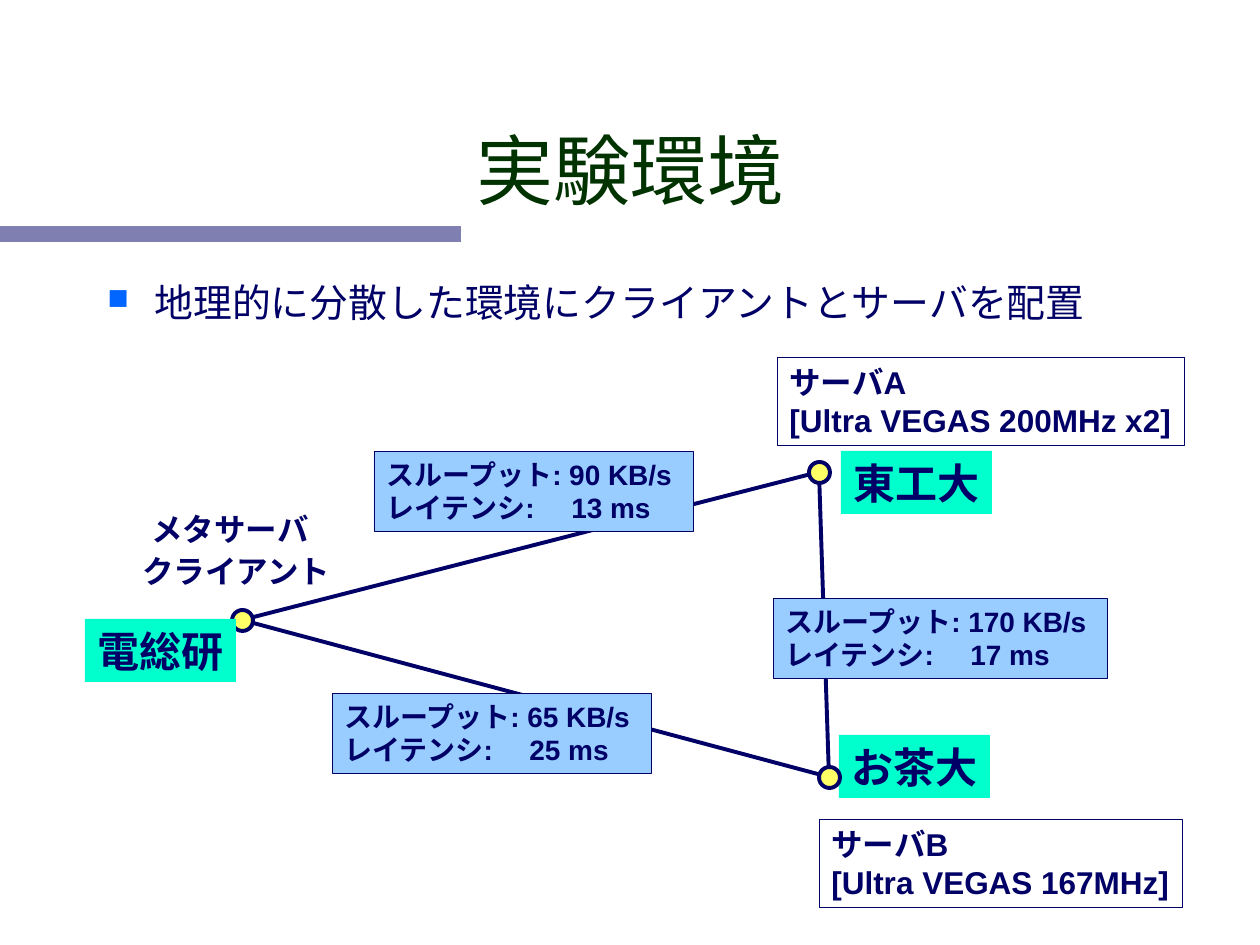
from itertools import combinations

from lxml import etree
from pptx import Presentation
from pptx.dml.color import RGBColor
from pptx.enum.shapes import MSO_CONNECTOR, MSO_SHAPE
from pptx.enum.text import MSO_ANCHOR, PP_ALIGN
from pptx.oxml.ns import qn
from pptx.util import Pt

RECT, OVAL = MSO_SHAPE.RECTANGLE, MSO_SHAPE.OVAL
STRAIGHT = MSO_CONNECTOR.STRAIGHT
LEFT, CENTER = PP_ALIGN.LEFT, PP_ALIGN.CENTER
TOP, BOTTOM = MSO_ANCHOR.TOP, MSO_ANCHOR.BOTTOM

EMU_PER_PX = 914400 / 126
FONT = "Arial"
COLORS = {
    "navy": "000066",
    "title": "003300",
    "bullet": "0066FF",
    "node": "FFFF66",
    "site": "00FFCC",
    "link": "99CCFF",
}
NODE_SIZE = 21
VALUE_TAB = 185

HUB, NODE_A, NODE_B = (242, 620), (819, 472), (829, 777)
SITES = [("電総研", 85, 619), ("東工大", 841, 451), ("お茶大", 839, 735)]
ROLES = [("メタサーバ", 139, 504, 183), ("クライアント", 130, 546, 214)]
SERVERS = [
    ("サーバA", "[Ultra VEGAS 200MHz x2]", 777, 357, 407),
    ("サーバB", "[Ultra VEGAS 167MHz]", 819, 819, 363),
]
LINKS = [
    (90, 13, 374, 451, 319),
    (65, 25, 332, 693, 319),
    (170, 17, 773, 598, 334),
]


def px(n):
    return round(n * EMU_PER_PX)


def rgb(name):
    return RGBColor.from_string(COLORS[name])


def add_text(s, text, size=18, color="navy", bold=True, align=LEFT,
             anchor=TOP, wrap=False):
    tf = s.text_frame
    tf.word_wrap = wrap
    tf.vertical_anchor = anchor
    tf.text = text
    for p in tf.paragraphs:
        p.alignment = align
        for r in p.runs:
            r.font.name = FONT
            r.font.size = Pt(size)
            r.font.bold = bold
            r.font.color.rgb = rgb(color)
    return tf


def add_box(slide, x, y, w, h, fill=None, line=None, kind=RECT):
    s = slide.shapes.add_shape(kind, px(x), px(y), px(w), px(h))
    s.shadow.inherit = False
    if fill:
        s.fill.solid()
        s.fill.fore_color.rgb = rgb(fill)
    else:
        s.fill.background()
    if line:
        s.line.color.rgb = rgb("navy")
        s.line.width = Pt(line)
    else:
        s.line.fill.background()
    return s


def add_label(slide, text, x, y, w, h, **fmt):
    s = slide.shapes.add_textbox(px(x), px(y), px(w), px(h))
    return add_text(s, text, **fmt)


def add_node(slide, center):
    x, y = (c - NODE_SIZE // 2 for c in center)
    add_box(slide, x, y, NODE_SIZE, NODE_SIZE, "node", 2.25, OVAL)


def add_line(slide, start, end):
    s = slide.shapes.add_connector(STRAIGHT, *map(px, start + end))
    s.line.color.rgb = rgb("navy")
    s.line.width = Pt(2.25)
    etree.SubElement(s._element.spPr, qn("a:effectLst"))


def add_band(slide):
    s = add_box(slide, 0, 226, 461, 16, "navy")
    clr = s._element.spPr.find(qn("a:solidFill"))[0]
    etree.SubElement(clr, qn("a:alpha"), val="50000")


def add_bullet(p):
    pPr = p._p.get_or_add_pPr()
    pPr.set("marL", str(px(47)))
    pPr.set("indent", str(px(-47)))
    clr = etree.SubElement(pPr, qn("a:buClr"))
    etree.SubElement(clr, qn("a:srgbClr"), val=COLORS["bullet"])
    etree.SubElement(pPr, qn("a:buSzPct"), val="75000")
    etree.SubElement(pPr, qn("a:buChar"), char="■")


def add_tab(p, pos):
    tabs = etree.SubElement(p._p.get_or_add_pPr(), qn("a:tabLst"))
    etree.SubElement(tabs, qn("a:tab"), pos=str(px(pos)), algn="l")


def add_link(slide, rate, delay, x, y, w):
    s = add_box(slide, x, y, w, 80, "link", 0.25)
    text = f"スループット: {rate} KB/s\nレイテンシ:\t{delay} ms"
    tf = add_text(s, text, size=16)
    add_tab(tf.paragraphs[1], VALUE_TAB)


def main():
    prs = Presentation()
    prs.slide_width, prs.slide_height = px(1260), px(945)
    slide = prs.slides.add_slide(prs.slide_layouts[6])

    add_band(slide)
    add_label(slide, "実験環境", 95, 63, 1071, 158, size=44, color="title",
              bold=False, align=CENTER, anchor=BOTTOM, wrap=True)
    tf = add_label(slide, "地理的に分散した環境にクライアントとサーバを配置",
                   95, 273, 1071, 73, size=22.2, bold=False, wrap=True)
    add_bullet(tf.paragraphs[0])

    for start, end in combinations((HUB, NODE_A, NODE_B), 2):
        add_line(slide, start, end)
    add_node(slide, HUB)
    for name, x, y in SITES:
        add_text(add_box(slide, x, y, 151, 63, "site"), name, size=24)
    for center in (NODE_A, NODE_B):
        add_node(slide, center)
    for role, x, y, w in ROLES:
        add_label(slide, role, x, y, w, 50)
    for name, machine, x, y, w in SERVERS:
        s = add_box(slide, x, y, w, 88, line=0.25)
        add_text(s, f"{name}\n{machine}")
    for link in LINKS:
        add_link(slide, *link)

    prs.save("out.pptx")


if __name__ == "__main__":
    main()
